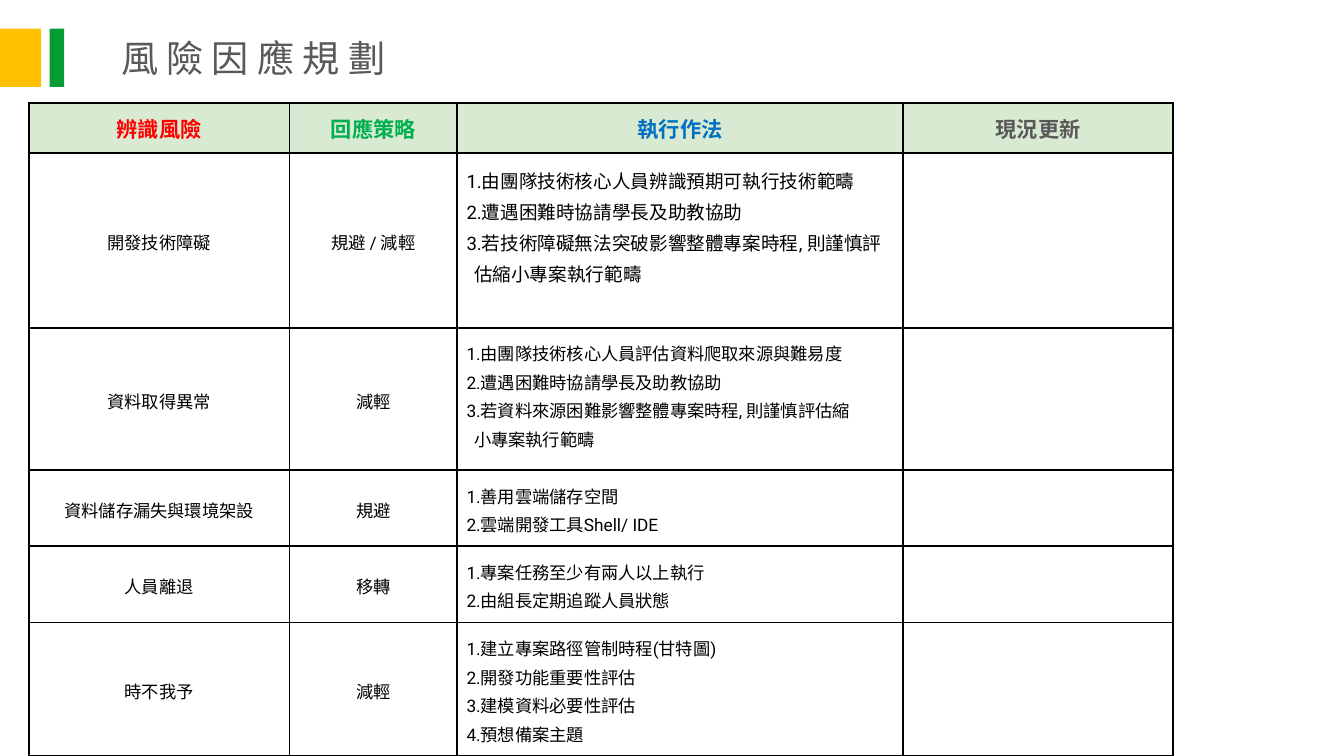
from dataclasses import dataclass

from pptx import Presentation
from pptx.dml.color import RGBColor
from pptx.enum.shapes import MSO_SHAPE
from pptx.enum.text import MSO_ANCHOR, MSO_AUTO_SIZE, PP_ALIGN
from pptx.oxml import parse_xml
from pptx.oxml.ns import nsdecls
from pptx.util import Inches, Pt

CJK, LATIN = "Noto Sans CJK SC", "Roboto"
SLIDE_W, SLIDE_H = Inches(14.06), Inches(7.91)
COLUMN_SHARES = (19.42, 12.45, 33.21, 20.06)
BAND_TOP, BAND_HEIGHT = 3.79, 7.71


@dataclass(frozen=True)
class Bar:
    left: float
    width: float
    color: str


@dataclass(frozen=True)
class Heading:
    text: str
    color: str


@dataclass(frozen=True)
class Risk:
    name: str
    strategy: str
    actions: tuple[str, ...]
    height: float
    action_size: int = 13
    continuation: str = ""


BARS = (Bar(0, 3.06, "FFC000"), Bar(3.7, 1.07, "059C33"))
HEADINGS = (
    Heading("辨識風險", "FF0000"),
    Heading("回應策略", "00B050"),
    Heading("執行作法", "0070C0"),
    Heading("現況更新", "595959"),
)
HEADING_HEIGHT = 6.07
RISKS = (
    Risk("開發技術障礙", "規避 / 減輕",
         ("1.由團隊技術核心人員辨識預期可執行技術範疇",
          "2.遭遇困難時協請學長及助教協助",
          "3.若技術障礙無法突破影響整體專案時程, 則謹慎評"),
         18.84, 14, "估縮小專案執行範疇"),
    Risk("資料取得異常", "減輕",
         ("1.由團隊技術核心人員評估資料爬取來源與難易度",
          "2.遭遇困難時協請學長及助教協助",
          "3.若資料來源困難影響整體專案時程, 則謹慎評估縮"),
         18.84, continuation="小專案執行範疇"),
    Risk("資料儲存漏失與環境架設", "規避",
         ("1.善用雲端儲存空間", "2.雲端開發工具Shell/ IDE"), 8.72),
    Risk("人員離退", "移轉",
         ("1.專案任務至少有兩人以上執行", "2.由組長定期追蹤人員狀態"), 8.72),
    Risk("時不我予", "減輕",
         ("1.建立專案路徑管制時程(甘特圖)", "2.開發功能重要性評估",
          "3.建模資料必要性評估", "4.預想備案主題"), 15.55),
)


def across(percent: float) -> int:
    """Length as a percentage of the slide's width."""
    return round(SLIDE_W * percent / 100)


def down(percent: float) -> int:
    """Length as a percentage of the slide's height."""
    return round(SLIDE_H * percent / 100)


def rgb(color: str) -> RGBColor:
    return RGBColor.from_string(color)


def add_run(p, text: str, size: int, color: str, font: str = LATIN, bold: bool = False) -> None:
    r = p.add_run()
    r.text = text
    r.font.size, r.font.bold, r.font.name = Pt(size), bold, font
    r.font.color.rgb = rgb(color)
    r.font._element.append(parse_xml(f'<a:ea {nsdecls("a")} typeface="{CJK}"/>'))


def add_bar(slide, bar: Bar) -> None:
    sp = slide.shapes.add_shape(MSO_SHAPE.RECTANGLE, across(bar.left), down(BAND_TOP),
                                across(bar.width), down(BAND_HEIGHT))
    sp.shadow.inherit = False
    sp.fill.solid()
    sp.fill.fore_color.rgb = rgb(bar.color)
    sp.line.fill.background()


def set_title(slide, text: str) -> None:
    sp = slide.shapes.title
    sp.left, sp.top = across(5.76), down(BAND_TOP)
    sp.width, sp.height = across(26.17), down(BAND_HEIGHT)
    tf = sp.text_frame
    tf.word_wrap, tf.auto_size = True, MSO_AUTO_SIZE.NONE
    tf.vertical_anchor = MSO_ANCHOR.MIDDLE
    p = tf.paragraphs[0]
    p.alignment = PP_ALIGN.CENTER
    add_run(p, text, 28, "595959", CJK)


def format_cell(cell, fill: str = "") -> None:
    """Give a cell its margins, black borders and optional fill."""
    cell.margin_left = cell.margin_right = Inches(0.1)
    cell.margin_top = cell.margin_bottom = Inches(0.1)
    tc_pr = cell._tc.get_or_add_tcPr()
    for side in "LRTB":
        tc_pr.append(parse_xml(
            f'<a:ln{side} {nsdecls("a")} w="{Pt(1.5)}"><a:solidFill>'
            f'<a:srgbClr val="000000"/></a:solidFill></a:ln{side}>'))
    if fill:
        cell.fill.solid()
        cell.fill.fore_color.rgb = rgb(fill)
    else:
        cell.fill.background()


def write_centred(cell, text: str) -> None:
    cell.vertical_anchor = MSO_ANCHOR.MIDDLE
    p = cell.text_frame.paragraphs[0]
    p.alignment, p.line_spacing = PP_ALIGN.CENTER, 1.15
    add_run(p, text, 13, "000000")


def write_actions(cell, risk: Risk) -> None:
    tf = cell.text_frame
    for i, action in enumerate(risk.actions):
        p = tf.add_paragraph() if i else tf.paragraphs[0]
        p.line_spacing = 1.15
        add_run(p, action, risk.action_size, "000000")
    if risk.continuation:
        p = tf.add_paragraph()
        p.line_spacing = 1.15
        p._p.get_or_add_pPr().set("marL", str(Inches(0.08)))
        add_run(p, risk.continuation, risk.action_size, "000000")


def add_risk_table(slide) -> None:
    heights = [HEADING_HEIGHT] + [risk.height for risk in RISKS]
    table = slide.shapes.add_table(
        len(heights), len(HEADINGS), across(2.13), down(13.65),
        across(sum(COLUMN_SHARES)), down(sum(heights))).table
    table.horz_banding = False
    for column, share in zip(table.columns, COLUMN_SHARES):
        column.width = across(share)
    for row, share in zip(table.rows, heights):
        row.height = down(share)

    for col, heading in enumerate(HEADINGS):
        cell = table.cell(0, col)
        format_cell(cell, "D9EAD3")
        p = cell.text_frame.paragraphs[0]
        p.alignment = PP_ALIGN.CENTER
        add_run(p, heading.text, 16, heading.color, bold=True)

    for row, risk in enumerate(RISKS, start=1):
        for col in range(len(HEADINGS)):
            format_cell(table.cell(row, col))
        write_centred(table.cell(row, 0), risk.name)
        write_centred(table.cell(row, 1), risk.strategy)
        write_actions(table.cell(row, 2), risk)


def main() -> None:
    prs = Presentation()
    prs.slide_width, prs.slide_height = SLIDE_W, SLIDE_H
    slide = prs.slides.add_slide(prs.slide_layouts.get_by_name("Title Only"))
    for bar in BARS:
        add_bar(slide, bar)
    set_title(slide, "風 險 因 應 規 劃")
    add_risk_table(slide)
    prs.save("out.pptx")


if __name__ == "__main__":
    main()
